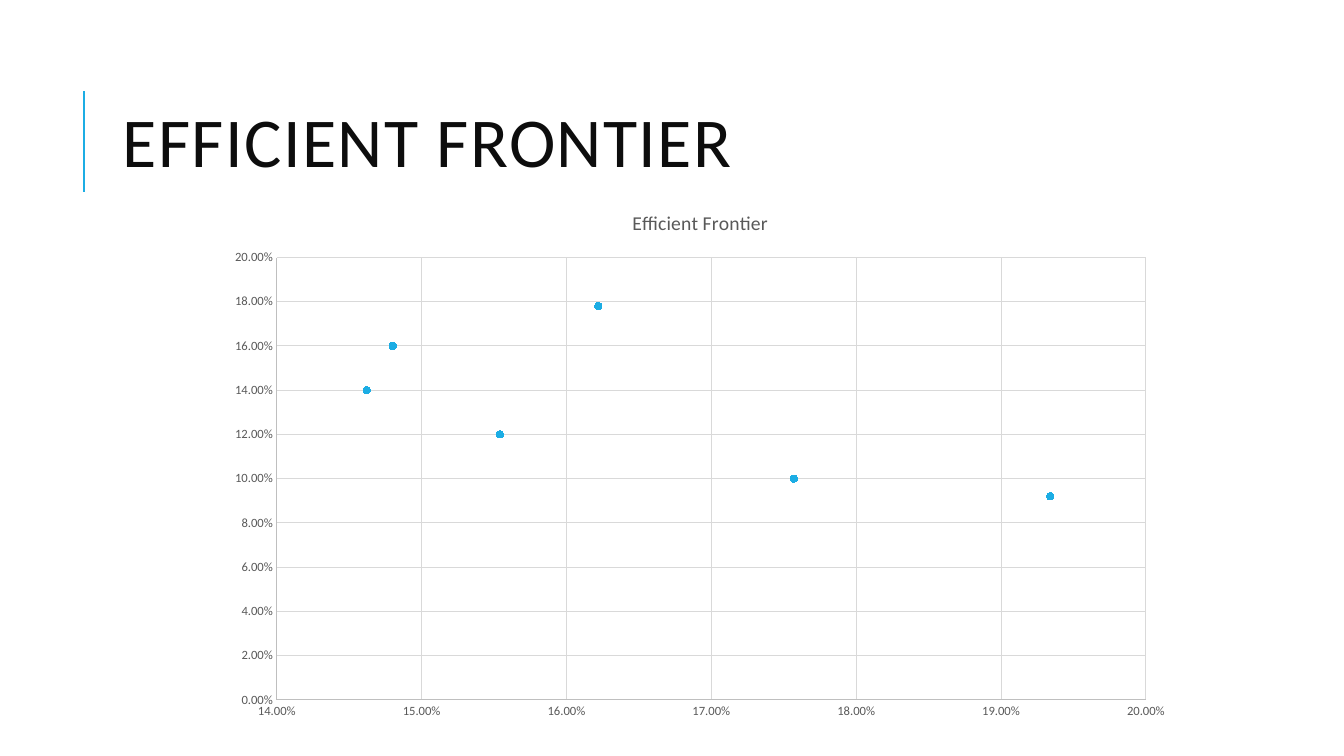
from lxml import etree
from pptx import Presentation
from pptx.chart.data import XyChartData
from pptx.dml.color import RGBColor
from pptx.enum.chart import XL_CHART_TYPE as Kind, XL_MARKER_STYLE as Mark
from pptx.enum.chart import XL_TICK_MARK as Tick
from pptx.enum.text import MSO_ANCHOR as Anchor
from pptx.oxml import parse_xml
from pptx.oxml.ns import nsdecls, qn
from pptx.util import Inches, Pt

FONT = "Calibri"
BLUE = RGBColor(0x1C, 0xAD, 0xE4)
INK = RGBColor(0x0D, 0x0D, 0x0D)
GRAY = RGBColor(0x59, 0x59, 0x59)
EDGE = RGBColor(0xBF, 0xBF, 0xBF)
GRID = RGBColor(0xD9, 0xD9, 0xD9)

POINTS = [(0.1934, 0.092), (0.1622, 0.178), (0.148, 0.16), (0.1462, 0.14),
          (0.1554, 0.12), (0.1757, 0.10), (0.1622, 0.178)]
PLOT = {"x": 0.063, "y": 0.126, "w": 0.897, "h": 0.819}


def assign(item, **values):
    for key, value in values.items():
        setattr(item, key, value)


def style(font, size, color):
    assign(font, name=FONT, size=Pt(size), bold=False)
    font.color.rgb = color


def stroke(line, color, width):
    line.color.rgb = color
    line.width = Pt(width)


def add_title(slide, left, top, width, height):
    rule_x, rule_y = left - Inches(0.29), top + Inches(0.26)
    rule = slide.shapes.add_connector(
        1, rule_x, rule_y + Inches(1), rule_x, rule_y)
    stroke(rule.line, BLUE, 1.5)
    etree.SubElement(rule._element.spPr, qn("a:effectLst"))

    frame = slide.shapes.add_textbox(left, top, width, height).text_frame
    assign(frame, word_wrap=True, vertical_anchor=Anchor.MIDDLE)
    para = frame.paragraphs[0]
    para.line_spacing = 0.8
    run = para.add_run()
    run.text = "EFFICIENT FRONTIER"
    style(run.font, 50, INK)
    run._r.get_or_add_rPr().set("spc", "100")


def set_axis(axis, low, high, step):
    assign(axis, minimum_scale=low, maximum_scale=high, major_unit=step,
           major_tick_mark=Tick.NONE, minor_tick_mark=Tick.NONE,
           has_major_gridlines=True)
    stroke(axis.format.line, EDGE, 0.75)
    stroke(axis.major_gridlines.format.line, GRID, 0.75)
    labels = axis.tick_labels
    assign(labels, number_format="0.00%", number_format_is_linked=False)
    style(labels.font, 9, GRAY)


def set_plot(chart):
    area = chart._chartSpace.chart.plotArea
    for old in area.findall(qn("c:layout")):
        area.remove(old)
    modes = '<c:layoutTarget val="inner"/><c:xMode val="edge"/><c:yMode val="edge"/>'
    sizes = "".join(f'<c:{key} val="{value}"/>' for key, value in PLOT.items())
    area.insert(0, parse_xml(
        f'<c:layout {nsdecls("c")}><c:manualLayout>{modes}{sizes}'
        '</c:manualLayout></c:layout>'))


def add_graph(slide, left, top, width, height):
    data = XyChartData(number_format="0.00%")
    series = data.add_series("Series 1")
    for x, y in POINTS:
        series.add_data_point(x, y)
    chart = slide.shapes.add_chart(
        Kind.XY_SCATTER, left, top, width, height, data).chart
    assign(chart, has_legend=False, has_title=True)
    assign(chart.font, name=FONT, size=Pt(10))
    chart.plots[0].vary_by_categories = False

    head = chart.chart_title
    head.include_in_layout = False
    run = head.text_frame.paragraphs[0].add_run()
    run.text = "Efficient Frontier"
    style(run.font, 14, GRAY)

    set_axis(chart.category_axis, 0.14, 0.2, 0.01)
    set_axis(chart.value_axis, 0, 0.2, 0.02)
    set_plot(chart)

    dots = chart.plots[0].series[0]
    dots.smooth = False
    dots.format.line.fill.background()
    assign(dots.marker, style=Mark.CIRCLE, size=5)
    look = dots.marker.format
    look.fill.solid()
    look.fill.fore_color.rgb = BLUE
    stroke(look.line, BLUE, 0.75)


def main():
    deck = Presentation()
    assign(deck, slide_width=Inches(13.33), slide_height=Inches(7.5))
    slide = deck.slides.add_slide(deck.slide_layouts[6])
    add_title(slide, *map(Inches, (1.12, 0.64, 10.63, 1.64)))
    add_graph(slide, *map(Inches, (2.14, 1.88, 9.61, 5.36)))
    deck.save("out.pptx")


if __name__ == "__main__":
    main()
